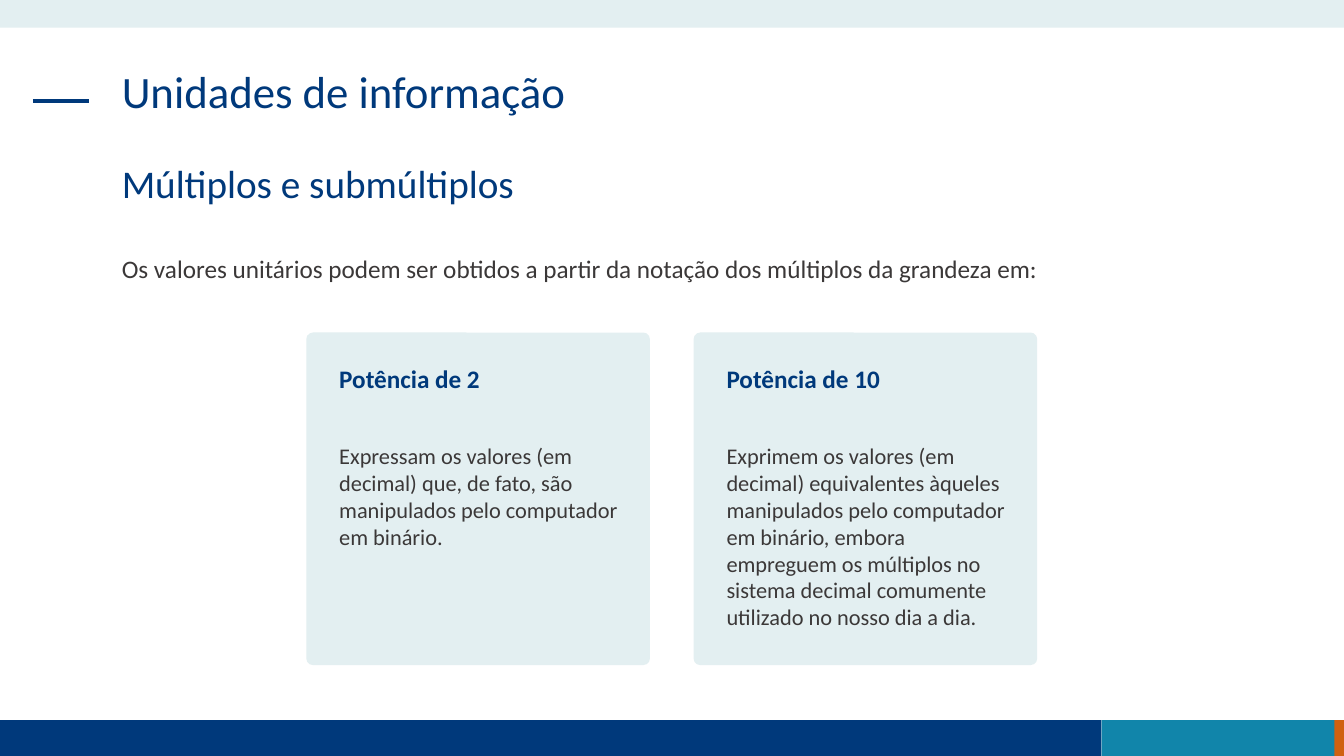
import pptx
import pptx.util
import pptx.dml.color
import pptx.enum.shapes
import pptx.oxml.ns
import lxml.etree

Cm = pptx.util.Cm
Pt = pptx.util.Pt
RGBColor = pptx.dml.color.RGBColor
SHAPE = pptx.enum.shapes.MSO_SHAPE

NAVY = RGBColor(0x00, 0x39, 0x7B)
TEAL = RGBColor(0x11, 0x85, 0xAA)
ORANGE = RGBColor(0xD0, 0x61, 0x10)
PALE = RGBColor(0xE3, 0xEF, 0xF1)
GRAY = RGBColor(0x3B, 0x38, 0x38)
FONT = "Calibri"

CARDS = [
    ("Potência de 2",
     "Expressam os valores (em decimal) que, de fato, são manipulados pelo "
     "computador em binário.", 3),
    ("Potência de 10",
     "Exprimem os valores (em decimal) equivalentes àqueles manipulados pelo "
     "computador em binário, embora empreguem os múltiplos no sistema decimal "
     "comumente utilizado no nosso dia a dia.", 5.74),
]


def add_block(s, left, top, width, height, color, kind=SHAPE.RECTANGLE):
    """Add a filled shape without outline or shadow."""
    sp = s.shapes.add_shape(kind, Cm(left), Cm(top), Cm(width), Cm(height))
    sp.fill.solid()
    sp.fill.fore_color.rgb = color
    sp.line.fill.background()
    sp.shadow.inherit = False
    return sp


def add_text(s, left, top, width, height, text, size, color, bold=False, spacing=None):
    """Add a wrapped text box with one formatted paragraph."""
    sp = s.shapes.add_textbox(Cm(left), Cm(top), Cm(width), Cm(height))
    tf = sp.text_frame
    tf.word_wrap = True
    tf.text = text
    p = tf.paragraphs[0]
    p.line_spacing = spacing
    r = p.runs[0]
    r.font.name = FONT
    r.font.size = Pt(size)
    r.font.bold = bold
    r.font.color.rgb = color


def add_rule(s, left, top, width):
    """Add the short horizontal accent line beside the title."""
    sp = s.shapes.add_connector(
        pptx.enum.shapes.MSO_CONNECTOR.STRAIGHT,
        Cm(left), Cm(top), Cm(left + width), Cm(top))
    sp.line.color.rgb = NAVY
    sp.line.width = Pt(3)
    lxml.etree.SubElement(sp._element.spPr, pptx.oxml.ns.qn("a:effectLst"))


def add_card(s, left, heading, body, body_height):
    """Add a rounded card with a heading and a body text."""
    sp = add_block(s, left, 8.38, 8.66, 8.38, PALE, SHAPE.ROUNDED_RECTANGLE)
    sp.adjustments[0] = 0.02
    add_text(s, left + 0.58, 9.04, 7.52, 1.02, heading, 18, NAVY, bold=True)
    add_text(s, left + 0.58, 11.02, 7.52, body_height, body, 16, GRAY)


def add_frame(s):
    """Add the top band, the footer bars and the accent line."""
    add_block(s, 32.82, 18.15, 1.05, 0.9, ORANGE)
    add_block(s, 0, 18.15, 27.76, 0.9, NAVY)
    add_block(s, 27.76, 18.15, 5.87, 0.9, TEAL)
    add_block(s, 0, 0, 33.87, 0.7, PALE)
    add_rule(s, 0.83, 2.54, 1.41)


def main():
    """Build and save the slide."""
    prs = pptx.Presentation()
    prs.slide_width, prs.slide_height = Cm(33.87), Cm(19.05)
    s = prs.slides.add_slide(prs.slide_layouts[6])
    add_frame(s)
    add_text(s, 2.82, 1.63, 28.2, 2.4, "Unidades de informação", 32, NAVY, spacing=0.9)
    add_text(s, 2.82, 4.03, 28.2, 2.4, "Múltiplos e submúltiplos", 28, NAVY, spacing=0.9)
    add_text(s, 2.82, 6.25, 25.55, 1.02,
             "Os valores unitários podem ser obtidos a partir da notação dos "
             "múltiplos da grandeza em:", 18, GRAY)
    for i, (heading, body, body_height) in enumerate(CARDS):
        add_card(s, 7.72 + i * 9.76, heading, body, body_height)
    prs.save("out.pptx")


if __name__ == "__main__":
    main()
